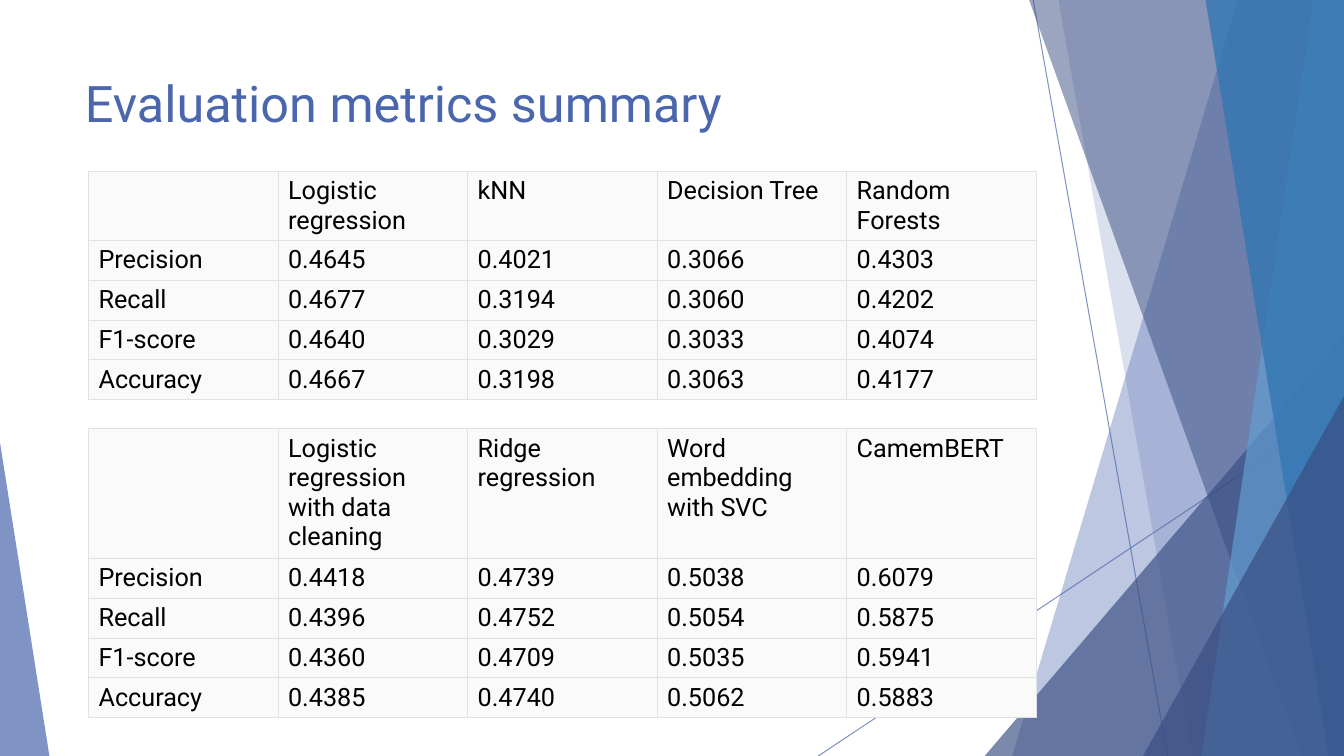
from lxml.etree import SubElement
from pptx import Presentation
from pptx.dml.color import RGBColor
from pptx.enum.shapes import MSO_CONNECTOR, MSO_SHAPE
from pptx.enum.text import MSO_ANCHOR, MSO_AUTO_SIZE, PP_ALIGN
from pptx.oxml import parse_xml
from pptx.oxml.ns import nsdecls, qn
from pptx.util import Pt

WIDTH, HEIGHT = 960, 540
BLUE, NAVY, SKY, OCEAN = "4A66AC", "384C81", "629DD1", "3477B2"
CELL_FILL, CELL_BORDER, BLACK = "FAFAFA", "DEE2E6", "000000"


def paint(fill, color, shape=None, opacity=100):
    """Set a solid colour; with a shape, also set the opacity of its colours."""
    fill.solid()
    fill.fore_color.rgb = RGBColor.from_string(color)
    if shape is not None:
        for node in shape._element.spPr.iter(qn("a:srgbClr")):
            SubElement(node, qn("a:alpha"), val=str(opacity * 1000))


def write(frame, text, size=18, color=BLACK, font="Roboto"):
    paragraph = frame.paragraphs[0]
    paragraph.alignment = PP_ALIGN.LEFT
    run = paragraph.add_run()
    run.text = text
    run.font.name = font
    run.font.size = Pt(size)
    paint(run.font.fill, color)


deck = Presentation()
deck.slide_width, deck.slide_height = Pt(WIDTH), Pt(HEIGHT)
slide = deck.slides.add_slide(deck.slide_layouts[5])
shapes = slide.shapes

# Thin crossing lines behind the facets
for x1, y1, x2, y2 in [(738, 0, 834, HEIGHT), (WIDTH, 290, 584.5, HEIGHT)]:
    ray = shapes.add_connector(MSO_CONNECTOR.STRAIGHT, Pt(x1), Pt(y1), Pt(x2), Pt(y2))
    ray.line.width = Pt(0.75)
    paint(ray.line.fill, BLUE, ray, 70)
    SubElement(ray._element.spPr, qn("a:effectLst"))

# Bands give the top and bottom x of their slanted left edge and run to the
# right side; triangles give left, top, width and apex position.
facets = [
    ("band", (884.2, 723), BLUE, 36),
    ("band", (756, 851.8), BLUE, 20),
    ("triangle", (703.4, 239.8, 256.6, 1), NAVY, 66),
    ("band", (735.1, 929.5), NAVY, 50),
    ("band", (938.2, 858.2), SKY, 70),
    ("band", (861.1, 949), OCEAN, 80),
    ("triangle", (816.5, 283, 143.5, 1), NAVY, 66),
    ("triangle", (0, 316.1, 35.3, 0), BLUE, 70),
]
for kind, geometry, color, opacity in facets:
    if kind == "band":
        top_x, bottom_x = geometry
        outline = shapes.build_freeform(Pt(top_x), Pt(0))
        outline.add_line_segments(
            [(Pt(x), Pt(y)) for x, y in [(WIDTH, 0), (WIDTH, HEIGHT), (bottom_x, HEIGHT)]])
        facet = outline.convert_to_shape()
    else:
        left, top, width, apex = geometry
        facet = shapes.add_shape(MSO_SHAPE.ISOSCELES_TRIANGLE,
                                 Pt(left), Pt(top), Pt(width), Pt(HEIGHT - top))
        facet.adjustments[0] = apex
    paint(facet.fill, color, facet, opacity)
    facet.line.fill.background()
    facet.shadow.inherit = False

title = shapes.title
title.left, title.top, title.width, title.height = Pt(53.5), Pt(48), Pt(676.5), Pt(104)
title.text_frame.auto_size = MSO_AUTO_SIZE.NONE
title.text_frame.vertical_anchor = MSO_ANCHOR.TOP
write(title.text_frame, "Evaluation metrics summary", size=36, color=BLUE)

COLUMN_WIDTH, ROW_HEIGHT = 135.4, 28.4
baseline_models = [
    ("", "Logistic regression", "kNN", "Decision Tree", "Random Forests"),
    ("Precision", "0.4645", "0.4021", "0.3066", "0.4303"),
    ("Recall", "0.4677", "0.3194", "0.3060", "0.4202"),
    ("F1-score", "0.4640", "0.3029", "0.3033", "0.4074"),
    ("Accuracy", "0.4667", "0.3198", "0.3063", "0.4177"),
]
improved_models = [
    ("", "Logistic regression with data cleaning", "Ridge regression",
     "Word embedding with SVC", "CamemBERT"),
    ("Precision", "0.4418", "0.4739", "0.5038", "0.6079"),
    ("Recall", "0.4396", "0.4752", "0.5054", "0.5875"),
    ("F1-score", "0.4360", "0.4709", "0.5035", "0.5941"),
    ("Accuracy", "0.4385", "0.4740", "0.5062", "0.5883"),
]
for top, header_height, scores in [(122.3, 49.5, baseline_models),
                                   (306.2, 92.8, improved_models)]:
    metrics = shapes.add_table(
        len(scores), len(scores[0]), Pt(63.2), Pt(top),
        Pt(COLUMN_WIDTH * len(scores[0])),
        Pt(header_height + ROW_HEIGHT * (len(scores) - 1))).table
    metrics.first_row = metrics.horz_banding = False
    for column in metrics.columns:
        column.width = Pt(COLUMN_WIDTH)
    for row_index, values in enumerate(scores):
        metrics.rows[row_index].height = Pt(ROW_HEIGHT if row_index else header_height)
        for column_index, value in enumerate(values):
            cell = metrics.cell(row_index, column_index)
            paint(cell.fill, CELL_FILL)
            if value:
                write(cell.text_frame, value)
            for position, side in enumerate("LRTB"):
                cell._tc.tcPr.insert(position, parse_xml(
                    f'<a:ln{side} {nsdecls("a")} w="{Pt(0.6)}"><a:solidFill>'
                    f'<a:srgbClr val="{CELL_BORDER}"/></a:solidFill></a:ln{side}>'))

deck.save("out.pptx")
